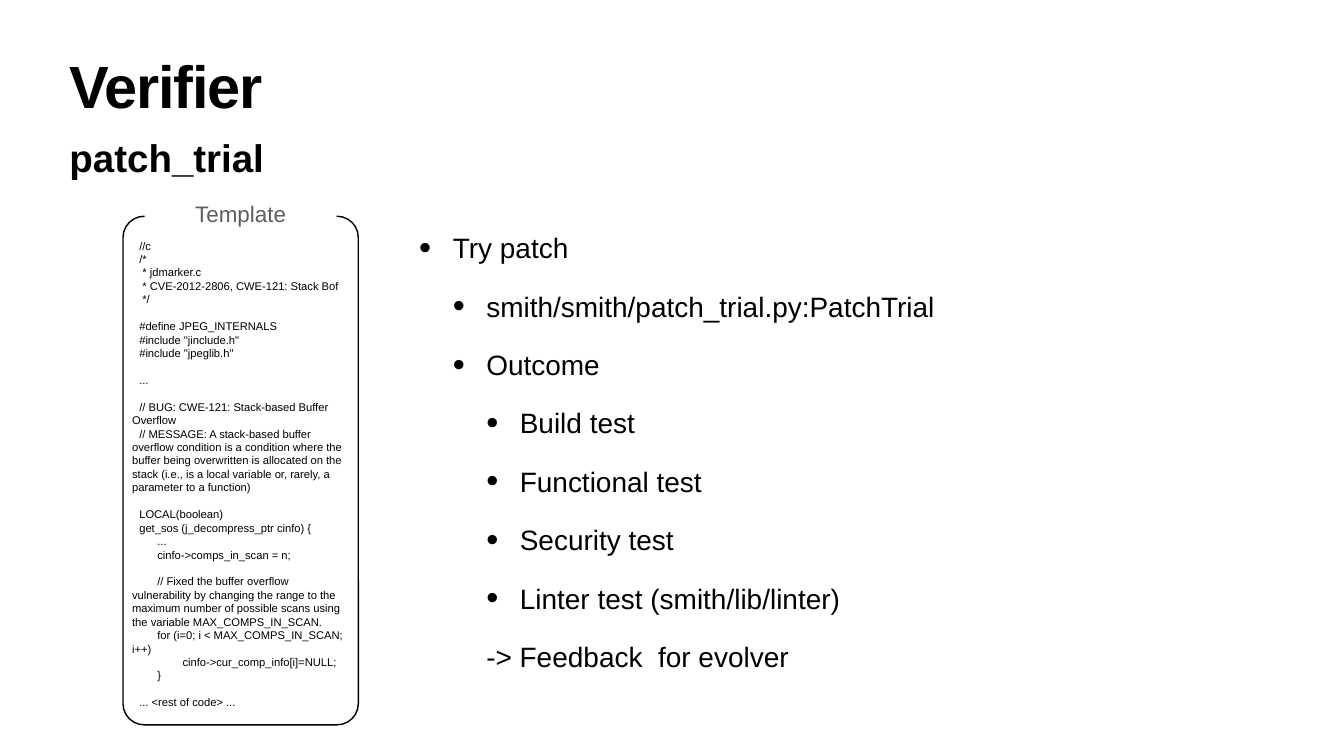
import lxml.etree
import pptx
import pptx.dml.color
import pptx.enum.shapes
import pptx.enum.text
import pptx.oxml.ns
import pptx.util
from pptx.util import Cm

BLACK = pptx.dml.color.RGBColor(0x00, 0x00, 0x00)
GRAY = pptx.dml.color.RGBColor(0x5E, 0x5E, 0x5E)
WHITE = pptx.dml.color.RGBColor(0xFF, 0xFF, 0xFF)
FONT = "Arial"
INSET = Cm(0.15)
LEVEL_STEP = Cm(1.69)
CODE_SIZE = 16
CODE_LINE = 19.2
CODE_INDENTS = (Cm(0.36), Cm(1.27), Cm(2.54))

OUTCOMES = [
    (0, "Try patch"),
    (1, "smith/smith/patch_trial.py:PatchTrial"),
    (1, "Outcome"),
    (2, "Build test"),
    (2, "Functional test"),
    (2, "Security test"),
    (2, "Linter test (smith/lib/linter)"),
]
FEEDBACK = "-> Feedback  for evolver"

CODE_BLOCKS = [
    [(0, "//c"), (0, "/*"), (0, " * jdmarker.c"),
     (0, " * CVE-2012-2806, CWE-121: Stack Bof"), (0, " */")],
    [(0, "#define JPEG_INTERNALS"), (0, '#include "jinclude.h"'),
     (0, '#include "jpeglib.h"')],
    [(0, "...")],
    [(0, "// BUG: CWE-121: Stack-based Buffer Overflow"),
     (0, "// MESSAGE: A stack-based buffer overflow condition is a condition "
         "where the buffer being overwritten is allocated on the stack (i.e., "
         "is a local variable or, rarely, a parameter to a function)")],
    [(0, "LOCAL(boolean)"), (0, "get_sos (j_decompress_ptr cinfo) {"),
     (1, "..."), (1, "cinfo->comps_in_scan = n;")],
    [(1, "// Fixed the buffer overflow vulnerability by changing the range to "
         "the maximum number of possible scans using the variable "
         "MAX_COMPS_IN_SCAN."),
     (1, "for (i=0; i < MAX_COMPS_IN_SCAN; i++)"),
     (2, "cinfo->cur_comp_info[i]=NULL;"), (1, "}")],
    [(0, "... <rest of code> ...")],
]


def place(part, box):
    """Move a part to a box of left, top, width and height."""
    part.left, part.top, part.width, part.height = box


def set_frame(frame, anchor=pptx.enum.text.MSO_ANCHOR.TOP, top=INSET):
    """Give a text frame its insets, wrapping and anchor."""
    frame.auto_size = pptx.enum.text.MSO_AUTO_SIZE.NONE
    frame.word_wrap = True
    frame.vertical_anchor = anchor
    frame.margin_left = frame.margin_right = frame.margin_bottom = INSET
    frame.margin_top = top


def style(paragraph, size, color=BLACK, bold=False,
          align=pptx.enum.text.PP_ALIGN.LEFT):
    """Format a paragraph and its runs."""
    paragraph.alignment = align
    for run in paragraph.runs:
        run.font.name = FONT
        run.font.size = pptx.util.Pt(size)
        run.font.bold = bold
        run.font.color.rgb = color


def indent(paragraph, left, first, bullet=None):
    """Set the left margin, first-line indent and bullet of a paragraph."""
    properties = paragraph._p.get_or_add_pPr()
    properties.set("marL", str(int(left)))
    properties.set("indent", str(int(first)))
    qn = pptx.oxml.ns.qn
    if bullet:
        lxml.etree.SubElement(properties, qn("a:buSzPct"), val="123000")
        lxml.etree.SubElement(properties, qn("a:buFont"), typeface=FONT)
        lxml.etree.SubElement(properties, qn("a:buChar"), char=bullet)
    else:
        lxml.etree.SubElement(properties, qn("a:buNone"))


def add_lines(frame, lines):
    """Yield a paragraph and its level for each line of text."""
    for number, (level, text) in enumerate(lines):
        paragraph = frame.add_paragraph() if number else frame.paragraphs[0]
        paragraph.text = text
        paragraph.level = level
        yield paragraph, level


def fill_heading(title, subtitle, box):
    """Fill the title and the subtitle below it."""
    left, top, width, height = box
    place(title, (left, top, width, Cm(3.99)))
    set_frame(title.text_frame)
    title.text_frame.text = "Verifier"
    heading = title.text_frame.paragraphs[0]
    heading.line_spacing = 0.8
    style(heading, 85, bold=True)
    heading.runs[0].font._element.set("spc", "-170")

    subtitle_height = Cm(2.59)
    place(subtitle, (left, top + height - subtitle_height, width, subtitle_height))
    set_frame(subtitle.text_frame, top=Cm(0.13))
    subtitle.text_frame.text = "patch_trial"
    command = subtitle.text_frame.paragraphs[0]
    command.space_before = pptx.util.Pt(0)
    style(command, 55, bold=True)
    indent(command, 0, 0)


def fill_outcomes(body, box):
    """Fill the nested list of the patch trial and its outcomes."""
    place(body, box)
    set_frame(body.text_frame)
    for paragraph, level in add_lines(body.text_frame, OUTCOMES + [(2, FEEDBACK)]):
        paragraph.line_spacing = 0.8
        paragraph.space_before = pptx.util.Pt(45)
        style(paragraph, 40)
        if paragraph.text == FEEDBACK:
            indent(paragraph, LEVEL_STEP * level, 0)
        else:
            indent(paragraph, LEVEL_STEP * (level + 1), -LEVEL_STEP, "•")


def add_template(slide, box):
    """Draw the rounded code panel with its label over the top edge."""
    left, top, width, height = box
    shapes = pptx.enum.shapes.MSO_SHAPE
    panel = slide.shapes.add_shape(shapes.ROUNDED_RECTANGLE, *box)
    panel.adjustments[0] = 0.09
    panel.shadow.inherit = False
    panel.fill.background()
    panel.line.color.rgb = BLACK
    panel.line.width = pptx.util.Pt(2)
    set_frame(panel.text_frame, top=INSET + pptx.util.Pt(CODE_LINE))
    lines = [line for block in CODE_BLOCKS for line in block]
    paragraphs = list(add_lines(panel.text_frame, lines))
    for paragraph, level in paragraphs:
        paragraph.line_spacing = pptx.util.Pt(CODE_LINE)
        paragraph.space_before = pptx.util.Pt(0)
        style(paragraph, CODE_SIZE)
        indent(paragraph, 0, CODE_INDENTS[level])
    start = 0
    for block in CODE_BLOCKS[:-1]:
        start += len(block)
        paragraphs[start][0].space_before = pptx.util.Pt(CODE_LINE)

    label_width = Cm(9.68)
    label = slide.shapes.add_shape(
        shapes.RECTANGLE, left + (width - label_width) // 2, top - Cm(0.94),
        label_width, Cm(1.65))
    label.shadow.inherit = False
    label.fill.solid()
    label.fill.fore_color.rgb = WHITE
    label.line.fill.background()
    set_frame(label.text_frame, pptx.enum.text.MSO_ANCHOR.MIDDLE)
    label.text_frame.text = "Template"
    style(label.text_frame.paragraphs[0], 32, GRAY,
          align=pptx.enum.text.PP_ALIGN.CENTER)


def main():
    """Build the slide and save it."""
    presentation = pptx.Presentation()
    presentation.slide_width = Cm(67.74)
    presentation.slide_height = Cm(38.1)
    slide = presentation.slides.add_slide(presentation.slide_layouts[3])
    title, subtitle, body = list(slide.placeholders)[:3]
    fill_heading(title, subtitle, (Cm(3.35), Cm(3), Cm(61.04), Cm(6.2)))
    fill_outcomes(body, (Cm(20.98), Cm(11.81), Cm(43.41), Cm(22.94)))
    add_template(slide, (Cm(6.2), Cm(10.9), Cm(11.86), Cm(25.63)))
    presentation.save("out.pptx")


if __name__ == "__main__":
    main()
